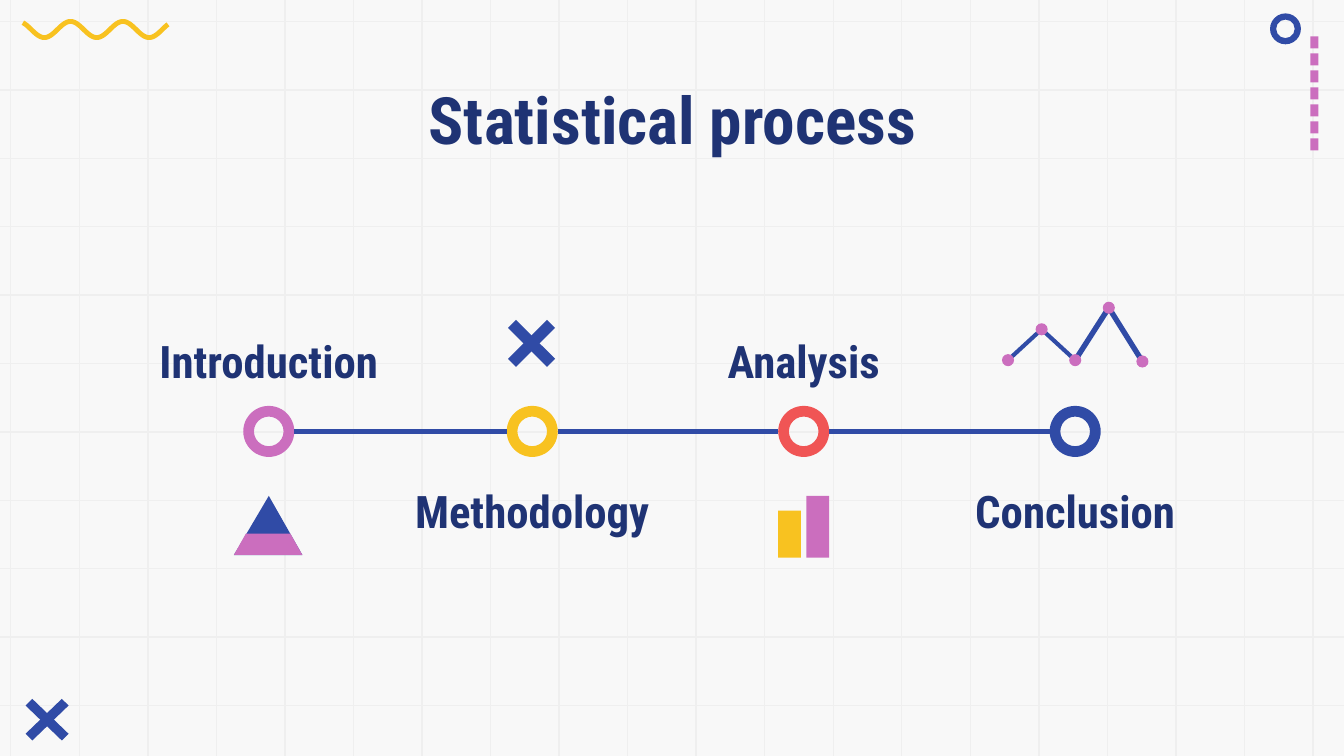
from math import cos, pi

from lxml.etree import SubElement
from pptx import Presentation
from pptx.dml.color import RGBColor
from pptx.enum.shapes import MSO_CONNECTOR, MSO_SHAPE
from pptx.enum.text import MSO_ANCHOR, MSO_AUTO_SIZE, PP_ALIGN
from pptx.oxml.ns import qn
from pptx.util import Inches, Pt

COLORS = {name: RGBColor.from_string(value) for name, value in {
    "paper": "F8F8F8", "grid": "EFEFEF", "navy": "1F3374", "blue": "304BA6",
    "pink": "CB6EBE", "yellow": "F8C220", "red": "F05555"}.items()}
WIDTH = 10
HEIGHT = WIDTH * 9 / 16

prs = Presentation()
prs.slide_width, prs.slide_height = Inches(WIDTH), Inches(HEIGHT)
s = prs.slides.add_slide(prs.slide_layouts[5])
s.background.fill.solid()
s.background.fill.fore_color.rgb = COLORS["paper"]


def add_line(x1, y1, x2, y2, color, width):
    line = s.shapes.add_connector(
        MSO_CONNECTOR.STRAIGHT, Inches(x1), Inches(y1), Inches(x2), Inches(y2))
    line.line.color.rgb = COLORS[color]
    line.line.width = Pt(width)
    SubElement(line._element.spPr, qn("a:effectLst"))


def add_filled(kind, geometry, color):
    """Add a preset from (x, y, w, h), or a polygon from points if kind is None."""
    if kind is None:
        points = [(Inches(x), Inches(y)) for x, y in geometry]
        builder = s.shapes.build_freeform(*points[0])
        builder.add_line_segments(points[1:], close=True)
        sp = builder.convert_to_shape()
    else:
        sp = s.shapes.add_shape(kind, *[Inches(v) for v in geometry])
    sp.shadow.inherit = False
    sp.fill.solid()
    sp.fill.fore_color.rgb = COLORS[color]
    sp.line.fill.background()
    return sp


# Background grid
for i in range(11):
    y = 0.16 + i * 5.09 / 10
    add_line(0, y, WIDTH, y, "grid", 0.75)
for i in range(20):
    x = 0.08 + i * 9.69 / 19
    add_line(x, 0, x, HEIGHT, "grid", 0.75)

# Corner decorations: dashes, ring and wave
for i in range(7):
    add_filled(MSO_SHAPE.RECTANGLE, (9.75, 0.27 + i * 0.76 / 6, 0.06, 0.09), "pink")
ring = add_filled(MSO_SHAPE.DONUT, (9.45, 0.1, 0.23, 0.23), "blue")
ring.adjustments[0] = 0.2

wave = [(Inches(x), Inches(0.22 + 0.06 * cos(2 * pi * (x - 0.33) / 0.39)))
        for x in (0.17 + i * 0.01 for i in range(109))]
builder = s.shapes.build_freeform(*wave[0])
builder.add_line_segments(wave[1:], close=False)
sp = builder.convert_to_shape()
sp.shadow.inherit = False
sp.fill.background()
sp.line.color.rgb = COLORS["yellow"]
sp.line.width = Pt(2.6)

# Crosses: bottom corner and methodology icon
for x, y, w, h, cut in ((0.19, 5.2, 0.32, 0.31, 0.05), (3.78, 2.38, 0.35, 0.35, 0.06)):
    bar = [(0, cut), (cut, 0), (w, h - cut), (w - cut, h)]
    add_filled(None, [(x + dx, y + dy) for dx, dy in bar], "blue")
    add_filled(None, [(x + w - dx, y + dy) for dx, dy in bar], "blue")

# Title, brought in front of the grid
title = s.shapes.title
s.shapes._spTree.append(title._element)
title.left, title.top, title.width, title.height = [
    Inches(v) for v in (0.79, 0.49, 8.43, 0.63)]
texts = [(title, "Statistical process", 35, MSO_ANCHOR.TOP)]

# Timeline: rings, links and labels
RING, RING_TOP = 0.38, 3.02
steps = [("Introduction", 2.0, "pink"), ("Methodology", 3.96, "yellow"),
         ("Analysis", 5.98, "red"), ("Conclusion", 8.0, "blue")]
for i, (label, center, color) in enumerate(steps):
    sp = add_filled(MSO_SHAPE.DONUT, (center - RING / 2, RING_TOP, RING, RING), color)
    sp.adjustments[0] = 0.21
    above = i % 2 == 0
    box = s.shapes.add_textbox(Inches(center - 1.17), Inches(2.32 if above else 3.6),
                               Inches(2.34), Inches(0.5))
    texts.append((box, label, 24, MSO_ANCHOR.TOP if above else MSO_ANCHOR.BOTTOM))
for (_, start, _), (_, end, _) in zip(steps, steps[1:]):
    add_line(start + RING / 2, 3.21, end - RING / 2, 3.21, "blue", 3)

for sp, text, size, anchor in texts:
    tf = sp.text_frame
    tf.text = text
    tf.word_wrap = True
    tf.auto_size = MSO_AUTO_SIZE.NONE
    tf.vertical_anchor = anchor
    tf.margin_left = tf.margin_right = tf.margin_top = tf.margin_bottom = Inches(0.1)
    p = tf.paragraphs[0]
    p.alignment = PP_ALIGN.CENTER
    p.line_spacing = 1.0 if sp is title else 1.15
    p.font.name = "Roboto Condensed"
    p.font.size = Pt(size)
    p.font.bold = True
    p.font.color.rgb = COLORS["navy"]

# Introduction icon: two-tone pyramid
add_filled(None, [(2, 3.69), (1.74, 4.13), (2.25, 4.13)], "blue")
add_filled(None, [(1.83, 3.97), (1.74, 4.13), (2.25, 4.13), (2.16, 3.97)], "pink")

# Analysis icon: two bars
add_filled(MSO_SHAPE.RECTANGLE, (5.79, 3.8, 0.17, 0.35), "yellow")
add_filled(MSO_SHAPE.RECTANGLE, (6, 3.69, 0.17, 0.46), "pink")

# Conclusion icon: line with dots
dots = [(7.5, 2.68), (7.75, 2.45), (8, 2.68), (8.25, 2.29), (8.5, 2.69)]
for start, end, width in zip(dots, dots[1:], (2.2, 2.2, 2.9, 2.9)):
    add_line(*start, *end, "blue", width)
for x, y in dots:
    add_filled(MSO_SHAPE.OVAL, (x - 0.045, y - 0.045, 0.09, 0.09), "pink")

prs.save("out.pptx")
